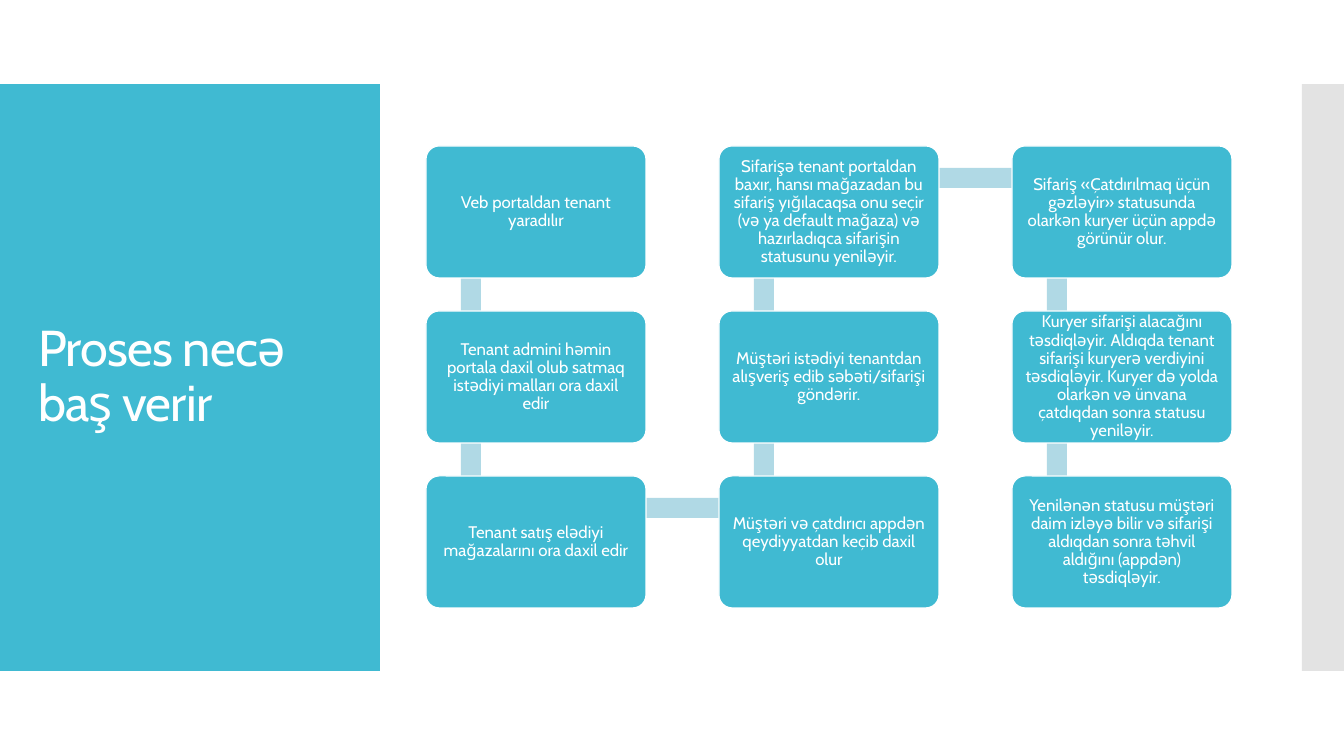
from lxml import etree
from pptx import Presentation
from pptx.dml.color import RGBColor
from pptx.enum.shapes import MSO_SHAPE
from pptx.enum.text import MSO_ANCHOR, PP_ALIGN
from pptx.oxml.ns import qn
from pptx.util import Emu, Pt

RECTANGLE = MSO_SHAPE.RECTANGLE
ROUNDED = MSO_SHAPE.ROUNDED_RECTANGLE
MIDDLE = MSO_ANCHOR.MIDDLE
LEFT, CENTER = PP_ALIGN.LEFT, PP_ALIGN.CENTER

EMU_PER_PX = 914400 / 100.8
FONT = "Cabin"
TEAL, PALE_TEAL, GRAY, WHITE = "40BAD2", "B0D9E5", "C8C8C8", "FFFFFF"

GRID_LEFT, GRID_TOP = 426, 146
COLUMN_PITCH, ROW_PITCH = 293, 165
CARD_WIDTH, CARD_HEIGHT = 220, 132
BAR_THICKNESS = 20
BAR_START_X, BAR_START_Y = 45, 32

TITLE = "Proses necə baş verir"
STEPS = [
    "Veb portaldan tenant yaradılır",
    "Tenant admini həmin portala daxil olub satmaq istədiyi malları ora daxil edir",
    "Tenant satış elədiyi mağazalarını ora daxil edir",
    "Müştəri və çatdırıcı appdən qeydiyyatdan keçib daxil olur",
    "Müştəri istədiyi tenantdan alışveriş edib səbəti/sifarişi göndərir.",
    "Sifarişə tenant portaldan baxır, hansı mağazadan bu sifariş yığılacaqsa onu seçir "
    "(və ya default mağaza) və hazırladıqca sifarişin statusunu yeniləyir.",
    "Sifariş «Çatdırılmaq üçün gəzləyir» statusunda olarkən kuryer üçün appdə görünür olur.",
    "Kuryer sifarişi alacağını təsdiqləyir. Aldıqda tenant sifarişi kuryerə verdiyini "
    "təsdiqləyir. Kuryer də yolda olarkən və ünvana çatdıqdan sonra statusu yeniləyir.",
    "Yenilənən statusu müştəri daim izləyə bilir və sifarişi aldıqdan sonra təhvil "
    "aldığını (appdən) təsdiqləyir.",
]


def px(length):
    return Emu(round(length * EMU_PER_PX))


def color(hex_value):
    return RGBColor.from_string(hex_value)


def add_block(slide, left, top, width, height, fill, kind=RECTANGLE):
    shape = slide.shapes.add_shape(kind, px(left), px(top), px(width), px(height))
    shape.shadow.inherit = False
    shape.fill.solid()
    shape.fill.fore_color.rgb = color(fill)
    shape.line.fill.background()
    return shape


def set_opacity(shape, percent):
    fill_color = shape._element.spPr.find(qn("a:solidFill"))[0]
    etree.SubElement(fill_color, qn("a:alpha")).set("val", str(percent * 1000))


def write_text(shape, text, size, align=LEFT, margin_x=10, margin_y=5, spacing=0):
    """Fill a shape with one paragraph; spacing is in hundredths of a point."""
    frame = shape.text_frame
    frame.word_wrap = True
    frame.vertical_anchor = MIDDLE
    frame.margin_left = frame.margin_right = px(margin_x)
    frame.margin_top = frame.margin_bottom = px(margin_y)
    paragraph = frame.paragraphs[0]
    paragraph.alignment = align
    paragraph.line_spacing = 0.9
    run = paragraph.add_run()
    run.text = text
    run.font.name = FONT
    run.font.size = Pt(size)
    run.font.color.rgb = color(WHITE)
    if spacing:
        run._r.get_or_add_rPr().set("spc", str(spacing))


def card_position(index):
    """Return left and top of a step; the path goes down, up, then down."""
    column, row = divmod(index, 3)
    if column % 2:
        row = 2 - row
    return GRID_LEFT + column * COLUMN_PITCH, GRID_TOP + row * ROW_PITCH


def add_bar(slide, start, end):
    """Draw the pale bar that leads from one card to the next."""
    left, top = min(start, end)
    if start[0] == end[0]:
        add_block(slide, left + BAR_START_X - BAR_THICKNESS // 2, top + BAR_START_Y,
                  BAR_THICKNESS, ROW_PITCH, PALE_TEAL)
    else:
        add_block(slide, left + BAR_START_X, top + BAR_START_Y - BAR_THICKNESS // 2,
                  COLUMN_PITCH, BAR_THICKNESS, PALE_TEAL)


def add_card(slide, position, text):
    card = add_block(slide, *position, CARD_WIDTH, CARD_HEIGHT, TEAL, ROUNDED)
    card.adjustments[0] = 0.1
    card.line.color.rgb = color(WHITE)
    card.line.width = Pt(0.85)
    write_text(card, text, 12, align=CENTER, margin_x=9, margin_y=9)


def main():
    presentation = Presentation()
    presentation.slide_width, presentation.slide_height = px(1344), px(756)
    slide = presentation.slides.add_slide(presentation.slide_layouts[6])

    add_block(slide, 0, 84, 380, 587, TEAL)
    set_opacity(add_block(slide, 1302, 84, 42, 587, GRAY), 50)
    title = slide.shapes.add_textbox(px(28), px(124), px(325), px(507))
    write_text(title, TITLE, 36, spacing=-60)

    positions = [card_position(index) for index in range(len(STEPS))]
    for start, end in zip(positions, positions[1:]):
        add_bar(slide, start, end)
    for position, text in zip(positions, STEPS):
        add_card(slide, position, text)

    presentation.save("out.pptx")


if __name__ == "__main__":
    main()
